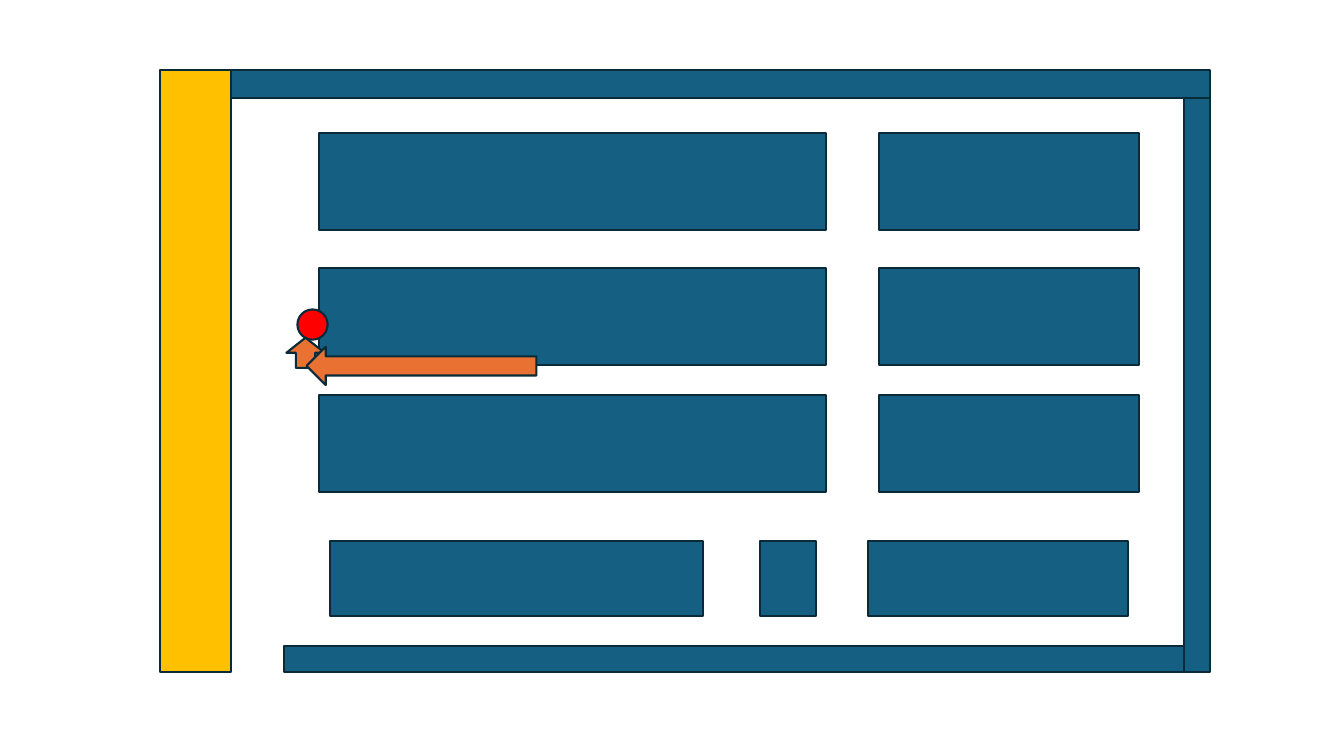
from pptx import Presentation
from pptx.dml.color import RGBColor
from pptx.enum.shapes import MSO_SHAPE
from pptx.util import Inches, Pt

COLORS = {
    "outline": "092A39",
    "shelf": "156082",
    "counter": "FFC000",
    "route": "E97132",
    "marker": "FF0000",
}


def add_block(page, kind, color, left, top, width, height, rotation=0):
    block = page.shapes.add_shape(
        kind, Inches(left), Inches(top), Inches(width), Inches(height)
    )
    block.shadow.inherit = False
    block.fill.solid()
    block.fill.fore_color.rgb = RGBColor.from_string(COLORS[color])
    block.line.color.rgb = RGBColor.from_string(COLORS["outline"])
    block.line.width = Pt(1.5)
    block.rotation = rotation


def add_walls(page):
    rectangle = MSO_SHAPE.RECTANGLE
    add_block(page, rectangle, "counter", 1.59, 0.69, 0.7, 5.98)
    add_block(page, rectangle, "shelf", 2.29, 0.69, 9.71, 0.28)
    add_block(page, rectangle, "shelf", 11.74, 0.97, 0.26, 5.7)
    add_block(page, rectangle, "shelf", 2.82, 6.41, 8.92, 0.26)


def add_shelf_row(page, top, height, spans):
    for left, width in spans:
        add_block(page, MSO_SHAPE.RECTANGLE, "shelf", left, top, width, height)


def add_route(page):
    arrow = MSO_SHAPE.RIGHT_ARROW
    add_block(page, arrow, "route", 2.88, 3.31, 0.3, 0.38, rotation=270)
    add_block(page, MSO_SHAPE.OVAL, "marker", 2.95, 3.07, 0.3, 0.3)
    add_block(page, arrow, "route", 3.04, 3.44, 2.28, 0.38, rotation=180)


def main():
    deck = Presentation()
    deck.slide_width = Inches(13.33)
    deck.slide_height = Inches(7.5)
    page = deck.slides.add_slide(deck.slide_layouts[6])

    add_walls(page)
    add_shelf_row(page, 5.37, 0.74, [(3.27, 3.7), (7.54, 0.55), (8.61, 2.58)])
    for top in (3.92, 2.66, 1.32):
        add_shelf_row(page, top, 0.96, [(3.16, 5.03), (8.72, 2.58)])
    add_route(page)

    deck.save("out.pptx")


if __name__ == "__main__":
    main()
